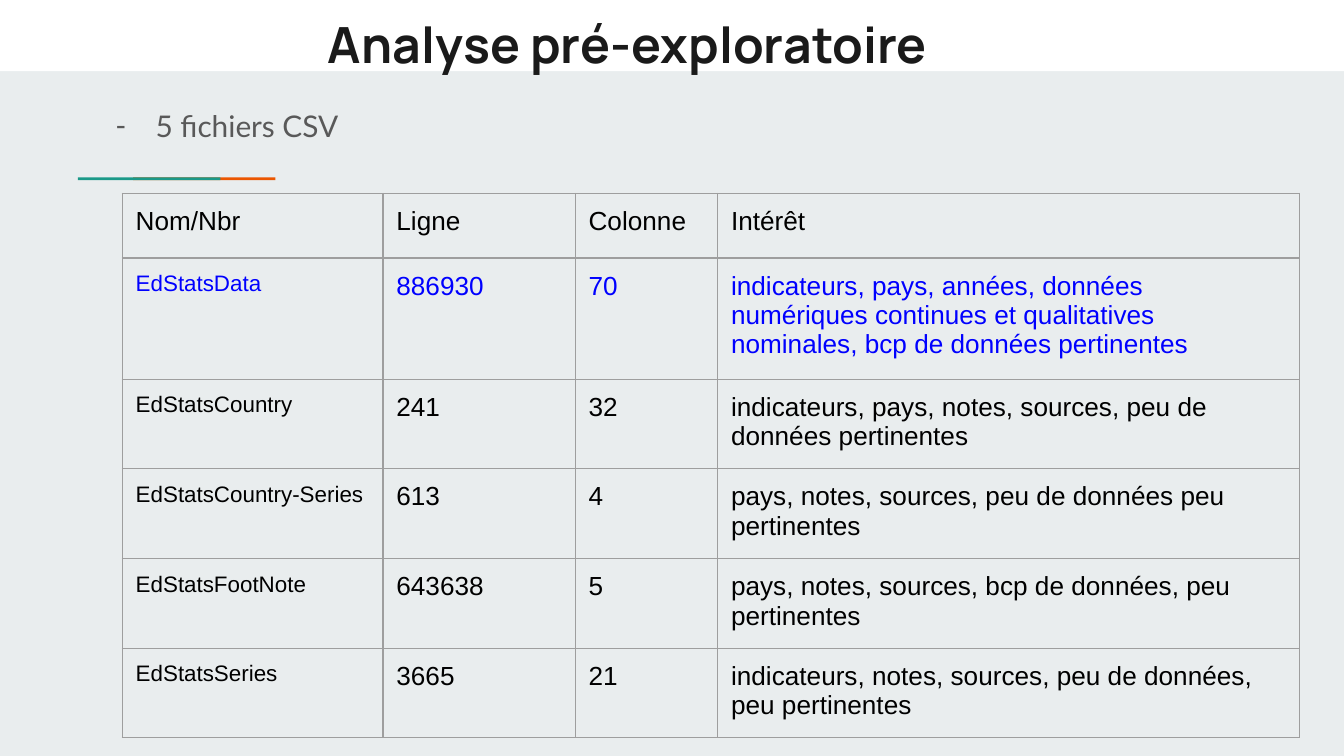
from lxml import etree
from pptx import Presentation
from pptx.dml.color import RGBColor
from pptx.enum import shapes, text
from pptx.oxml.ns import qn
from pptx.util import Inches, Pt

COLS = [1.94, 1.43, 1.06, 4.33]
ROW_HEIGHTS = [0.48, 0.67] + [0.6] * 4
ROWS = [
    ("Nom/Nbr", "Ligne", "Colonne", "Intérêt"),
    ("EdStatsData", "886930", "70",
     "indicateurs, pays, années, données numériques continues et "
     "qualitatives nominales, bcp de données pertinentes"),
    ("EdStatsCountry", "241", "32",
     "indicateurs, pays, notes, sources, peu de données pertinentes"),
    ("EdStatsCountry-Series", "613", "4",
     "pays, notes, sources, peu de données peu pertinentes"),
    ("EdStatsFootNote", "643638", "5",
     "pays, notes, sources, bcp de données, peu pertinentes"),
    ("EdStatsSeries", "3665", "21",
     "indicateurs, notes, sources, peu de données, peu pertinentes"),
]


def rgb(value):
    return RGBColor.from_string(value)


def set_margins(obj, size=0.1):
    for side in ("left", "top", "right", "bottom"):
        setattr(obj, f"margin_{side}", Inches(size))


def write(p, content, color, **font):
    r = p.add_run()
    r.text = content
    for name, value in font.items():
        setattr(r.font, name, value)
    r.font.color.rgb = rgb(color)


def add_bar(s, x, y, w, h, color):
    sp = s.shapes.add_shape(shapes.MSO_SHAPE.RECTANGLE,
                            *map(Inches, (x, y, w, h)))
    sp.shadow.inherit = False
    sp.fill.solid()
    sp.fill.fore_color.rgb = rgb(color)
    sp.line.fill.background()


def add_box(s, x, y, w, h):
    tf = s.shapes.add_textbox(*map(Inches, (x, y, w, h))).text_frame
    tf.word_wrap = True
    tf.vertical_anchor = text.MSO_ANCHOR.TOP
    set_margins(tf)
    return tf


def add_dash(p, color, font, size):
    pPr = p._p.get_or_add_pPr()
    pPr.set("marL", str(Inches(0.5)))
    pPr.set("indent", str(Inches(-0.3)))
    bu = etree.SubElement(pPr, qn("a:buClr"))
    etree.SubElement(bu, qn("a:srgbClr"), val=color)
    etree.SubElement(pPr, qn("a:buSzPts"), val=str(size * 100))
    etree.SubElement(pPr, qn("a:buFont"), typeface=font)
    etree.SubElement(pPr, qn("a:buChar"), char="-")


def set_borders(cell, color, width):
    tcPr = cell._tc.get_or_add_tcPr()
    for i, side in enumerate(("lnL", "lnR", "lnT", "lnB")):
        ln = etree.Element(qn(f"a:{side}"), w=str(Pt(width)))
        fill = etree.SubElement(ln, qn("a:solidFill"))
        etree.SubElement(fill, qn("a:srgbClr"), val=color)
        tcPr.insert(i, ln)


def add_file_table(s, x, y, side):
    frame = s.shapes.add_table(len(ROWS), len(COLS),
                               *map(Inches, (x, y, side, side)))
    table = frame.table
    table.first_row = table.horz_banding = False
    for col, width in zip(table.columns, COLS):
        col.width = Inches(width)
    for i, (values, height) in enumerate(zip(ROWS, ROW_HEIGHTS)):
        table.rows[i].height = Inches(height)
        for j, value in enumerate(values):
            cell = table.cell(i, j)
            cell.fill.background()
            set_margins(cell)
            set_borders(cell, "9E9E9E", 0.75)
            # File names are smaller; the main file stands out in blue
            write(cell.text_frame.paragraphs[0], value,
                  "0000FF" if i == 1 else "000000", name="Arial",
                  size=Pt(12 if i and j == 0 else 14))
    # Keep the frame small so that rows grow only as far as their text needs
    frame.width = frame.height = Inches(side)


def main():
    prs = Presentation()
    prs.slide_width, prs.slide_height = Inches(10), Inches(10 * 9 / 16)
    s = prs.slides.add_slide(prs.slide_layouts[6])
    s.background.fill.solid()
    s.background.fill.fore_color.rgb = rgb("E9EDEE")

    # Title band and two-colour accent
    add_bar(s, 0, 0, 10, 0.53, "FFFFFF")
    add_bar(s, 0.99, 1.32, 1.06, 0.02, "EB5600")
    add_bar(s, 0.58, 1.32, 1.06, 0.02, "1A9988")

    # Title
    tf = add_box(s, 2.12, 0, 5.77, 0.56)
    tf.margin_left = Inches(0.32)
    write(tf.paragraphs[0], "Analyse pré-exploratoire", "1A1A1A",
          name="Manrope", size=Pt(26.7), bold=True)

    # Subtitle
    p = add_box(s, 0.56, 0.7, 8.77, 4.65).paragraphs[0]
    add_dash(p, "595959", "Lato", 16)
    write(p, "5 fichiers CSV", "595959", name="Lato", size=Pt(16))

    # Files table
    add_file_table(s, 0.91, 1.44, 3.28)
    prs.save("out.pptx")


if __name__ == "__main__":
    main()
